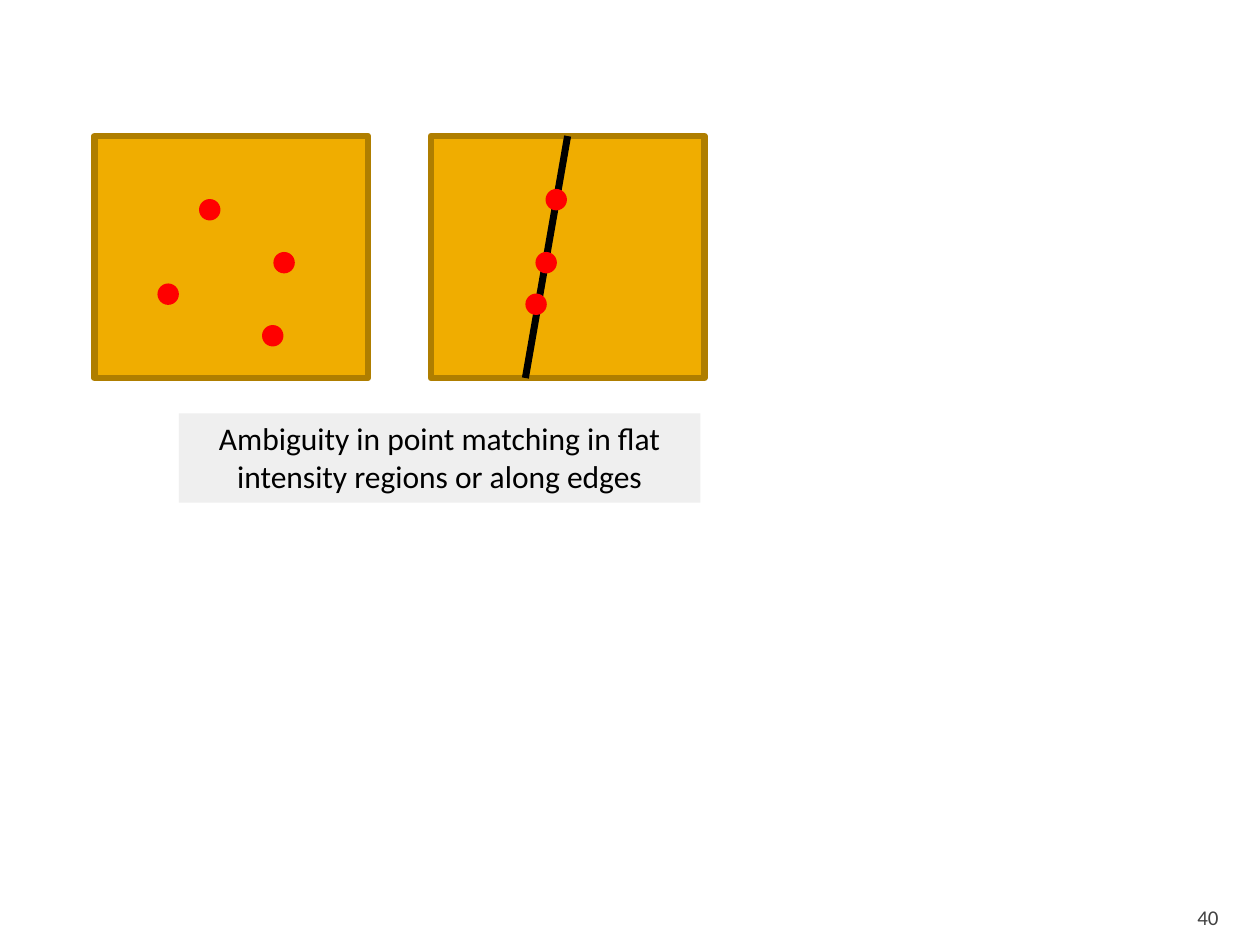
import pptx
import pptx.util
import pptx.dml.color
import pptx.enum.shapes
import pptx.enum.text
import pptx.oxml.ns
import lxml.etree

Inches = pptx.util.Inches
SHAPES = pptx.enum.shapes.MSO_SHAPE
ALIGN = pptx.enum.text.PP_ALIGN
ANCHOR = pptx.enum.text.MSO_ANCHOR


def color(value):
    return pptx.dml.color.RGBColor.from_string(value)


def add_label(left, top, width, height, text, size, text_color, alignment):
    box = slide.shapes.add_textbox(Inches(left), Inches(top), Inches(width), Inches(height))
    box.text_frame.word_wrap = True
    paragraph = box.text_frame.paragraphs[0]
    paragraph.alignment = alignment
    run = paragraph.add_run()
    run.text = text
    run.font.name = "Calibri"
    run.font.size = pptx.util.Pt(size)
    run.font.color.rgb = color(text_color)
    return box


presentation = pptx.Presentation()
presentation.slide_width = Inches(10)
presentation.slide_height = Inches(7.5)
slide = presentation.slides.add_slide(presentation.slide_layouts[6])

# Two regions: a flat one, and one crossed by an edge
panel_top, panel_width, panel_height = 1.08, 2.17, 1.92
dot_size = 0.17
panels = [
    (0.75, False, [(2.17, 2), (1.25, 2.25), (1.58, 1.58), (2.08, 2.58)]),
    (3.42, True, [(4.17, 2.33), (4.33, 1.5), (4.25, 2)]),
]
for panel_left, has_edge, dots in panels:
    panel = slide.shapes.add_shape(
        SHAPES.RECTANGLE, Inches(panel_left), Inches(panel_top),
        Inches(panel_width), Inches(panel_height))
    panel.shadow.inherit = False
    panel.fill.solid()
    panel.fill.fore_color.rgb = color("F0AD00")
    panel.line.color.rgb = color("AF7E00")
    panel.line.width = pptx.util.Pt(3.78)
    # Rounded corners on the border
    lxml.etree.SubElement(panel.line._get_or_add_ln(), pptx.oxml.ns.qn("a:round"))

    # Edge through the region, starting at the middle of its top side
    if has_edge:
        edge = slide.shapes.add_connector(
            pptx.enum.shapes.MSO_CONNECTOR.STRAIGHT,
            Inches(4.5), Inches(panel_top), Inches(4.17), Inches(panel_top + panel_height))
        edge.begin_connect(panel, 0)
        edge.line.color.rgb = color("000000")
        edge.line.width = pptx.util.Pt(4)
        lxml.etree.SubElement(edge._element.spPr, pptx.oxml.ns.qn("a:effectLst"))

    # Candidate points
    for dot_left, dot_top in dots:
        dot = slide.shapes.add_shape(
            SHAPES.OVAL, Inches(dot_left), Inches(dot_top), Inches(dot_size), Inches(dot_size))
        dot.shadow.inherit = False
        dot.fill.solid()
        dot.fill.fore_color.rgb = color("FF0000")
        dot.line.fill.background()

# Caption
caption = add_label(
    1.42, 3.28, 4.14, 0.71,
    "Ambiguity in point matching in flat intensity regions or along edges",
    18, "000000", ALIGN.CENTER)
caption.fill.solid()
caption.fill.fore_color.rgb = color("EFEFEF")

# Slide number
number = add_label(8.97, 7.08, 0.8, 0.3, "40", 12, "414141", ALIGN.RIGHT)
number.text_frame.vertical_anchor = ANCHOR.BOTTOM
number.text_frame.margin_bottom = 0

presentation.save("out.pptx")
